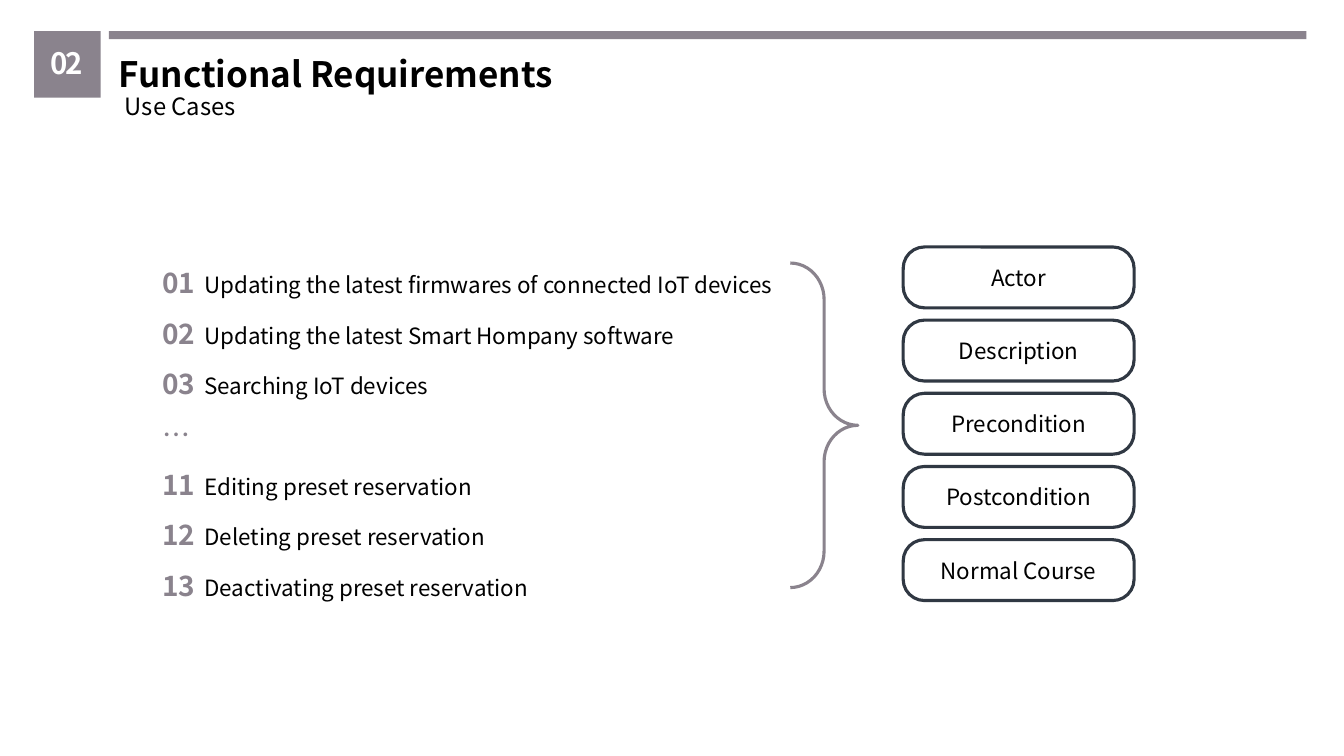
from dataclasses import dataclass
from typing import Any, Optional

from lxml.etree import SubElement
from pptx import Presentation
from pptx.dml.color import RGBColor
from pptx.enum.shapes import MSO_SHAPE
from pptx.enum.text import MSO_ANCHOR, PP_ALIGN
from pptx.oxml.ns import qn
from pptx.util import Inches, Pt


@dataclass(frozen=True)
class Theme:
    font: str = "Noto Sans CJK KR"
    accent: str = "8A838D"
    outline: str = "303843"
    ink: str = "000000"
    paper: str = "FFFFFF"
    title: int = 25
    badge: int = 21
    number: int = 20
    subtitle: int = 17
    body: int = 16
    line: float = 2.25


@dataclass(frozen=True)
class Area:
    """Percent shares of the slide's width and height."""
    left: float
    top: float
    width: float
    height: float

    def emu(self) -> tuple[int, int, int, int]:
        w, h = prs.slide_width, prs.slide_height
        return (int(self.left * w / 100), int(self.top * h / 100),
                int(self.width * w / 100), int(self.height * h / 100))


@dataclass(frozen=True)
class Label:
    area: Area
    text: str
    size: int
    color: str
    bold: bool = False
    align: PP_ALIGN = PP_ALIGN.LEFT
    spacing: int = 0


@dataclass(frozen=True)
class UseCase:
    number: str
    text: str = ""


THEME = Theme()
BADGE = Area(2.55, 4.13, 4.95, 8.8)
RULE = Area(8.1, 4.13, 89.1, 1.07)
USE_CASE_LIST = Area(11.33, 33.47, 47.48, 45.6)
BRACE = Area(58.8, 34.8, 5.03, 42.93)
FIRST_FIELD = Area(67.2, 32.67, 17.18, 8.05)
FIELD_STEP = 9.68
NUMBER_COLUMN = Inches(0.42)

LABELS = [
    Label(Area(1.43, 5.33, 7.05, 6.13), "02", THEME.badge, THEME.paper,
          True, PP_ALIGN.CENTER, -200),
    Label(Area(8.1, 6.27, 89.1, 6.93), "Functional Requirements",
          THEME.title, THEME.ink, True),
    Label(Area(8.55, 11.47, 88.73, 5.2), "Use Cases",
          THEME.subtitle, THEME.ink),
]
USE_CASES = [
    UseCase("01", "Updating the latest firmwares of connected IoT devices"),
    UseCase("02", "Updating the latest Smart Hompany software"),
    UseCase("03", "Searching IoT devices"),
    UseCase("…"),
    UseCase("11", "Editing preset reservation"),
    UseCase("12", "Deleting preset reservation"),
    UseCase("13", "Deactivating preset reservation"),
]
FIELDS = ["Actor", "Description", "Precondition", "Postcondition",
          "Normal Course"]


def add_run(p: Any, text: str, size: int, color: str,
            bold: bool = False, spacing: int = 0) -> None:
    r = p.add_run()
    r.text = text
    formats = {"name": THEME.font, "size": Pt(size), "bold": bold}
    for name, value in formats.items():
        setattr(r.font, name, value)
    r.font.color.rgb = RGBColor.from_string(color)
    rpr = r.font._element
    SubElement(rpr, qn("a:ea")).set("typeface", THEME.font)
    if spacing:
        rpr.set("spc", str(spacing))


def add_shape(s: Any, kind: MSO_SHAPE, area: Area,
              fill: Optional[str] = None, line: Optional[str] = None,
              adjust: tuple[float, ...] = ()) -> Any:
    sp = s.shapes.add_shape(kind, *area.emu())
    sp.shadow.inherit = False
    if fill:
        sp.fill.solid()
        sp.fill.fore_color.rgb = RGBColor.from_string(fill)
    else:
        sp.fill.background()
    if line:
        sp.line.color.rgb = RGBColor.from_string(line)
        sp.line.width = Pt(THEME.line)
    else:
        sp.line.fill.background()
    for i, value in enumerate(adjust):
        sp.adjustments[i] = value
    return sp


def add_text_frame(s: Any, area: Area, anchor: MSO_ANCHOR) -> Any:
    tf = s.shapes.add_textbox(*area.emu()).text_frame
    for name, value in {"word_wrap": True, "vertical_anchor": anchor}.items():
        setattr(tf, name, value)
    return tf


def add_label(s: Any, label: Label) -> None:
    p = add_text_frame(s, label.area, MSO_ANCHOR.TOP).paragraphs[0]
    p.alignment = label.align
    add_run(p, label.text, label.size, label.color, label.bold, label.spacing)


def add_use_cases(s: Any, cases: list[UseCase]) -> None:
    tf = add_text_frame(s, USE_CASE_LIST, MSO_ANCHOR.MIDDLE)
    for i, case in enumerate(cases):
        p = tf.add_paragraph() if i else tf.paragraphs[0]
        p.line_spacing = 1.5
        ppr = p._p.get_or_add_pPr()
        ppr.set("marL", str(NUMBER_COLUMN))
        ppr.set("indent", str(-NUMBER_COLUMN))
        add_run(p, case.number, THEME.number, THEME.accent, bool(case.text))
        if case.text:
            add_run(p, "\t" + case.text, THEME.body, THEME.ink)


def add_field(s: Any, row: int, text: str) -> None:
    f = FIRST_FIELD
    area = Area(f.left, f.top + row * FIELD_STEP, f.width, f.height)
    sp = add_shape(s, MSO_SHAPE.ROUNDED_RECTANGLE, area,
                   line=THEME.outline, adjust=(0.35,))
    tf = sp.text_frame
    tf.vertical_anchor = MSO_ANCHOR.MIDDLE
    p = tf.paragraphs[0]
    p.alignment = PP_ALIGN.CENTER
    add_run(p, text, THEME.body, THEME.ink)


prs = Presentation()
prs.slide_width, prs.slide_height = Inches(13.33), Inches(7.5)


def main() -> None:
    s = prs.slides.add_slide(prs.slide_layouts[6])
    for area in (BADGE, RULE):
        add_shape(s, MSO_SHAPE.RECTANGLE, area, fill=THEME.accent)
    for label in LABELS:
        add_label(s, label)
    add_use_cases(s, USE_CASES)
    add_shape(s, MSO_SHAPE.RIGHT_BRACE, BRACE, line=THEME.accent,
              adjust=(0.54, 0.5))
    for row, text in enumerate(FIELDS):
        add_field(s, row, text)
    prs.save("out.pptx")


if __name__ == "__main__":
    main()
